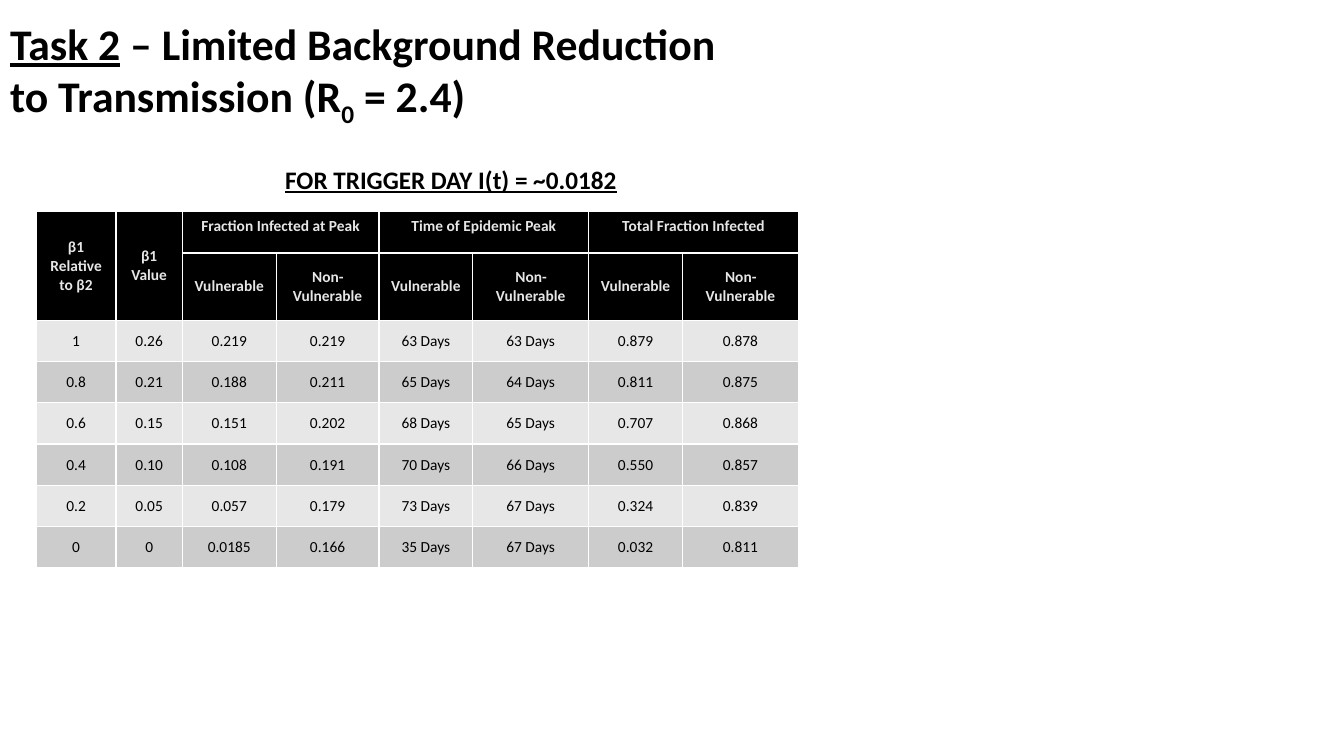
from lxml.etree import SubElement
from pptx import Presentation
from pptx.dml.color import RGBColor
from pptx.enum.text import MSO_ANCHOR, MSO_AUTO_SIZE, PP_ALIGN
from pptx.oxml.ns import qn
from pptx.util import Inches, Pt

FONT = "Calibri"
COLORS = {
    "ink": "000000",
    "header": "000000",
    "header_text": "E7E6E6",
    "light_band": "E7E7E7",
    "dark_band": "CCCCCC",
    "border": "FFFFFF",
}
COLUMN_WIDTHS = [0.79, 0.66, 0.93, 1.02, 0.93, 1.15, 0.93, 1.15]
ROW_HEIGHT = 0.41
HEADER_ROWS = 2
ROW_LABELS = ["β1 Relative to β2", "β1 Value"]
MEASURES = ["Fraction Infected at Peak", "Time of Epidemic Peak", "Total Fraction Infected"]
GROUPS = ["Vulnerable", "Non-Vulnerable"]
RESULTS = [
    ["1", "0.26", "0.219", "0.219", "63 Days", "63 Days", "0.879", "0.878"],
    ["0.8", "0.21", "0.188", "0.211", "65 Days", "64 Days", "0.811", "0.875"],
    ["0.6", "0.15", "0.151", "0.202", "68 Days", "65 Days", "0.707", "0.868"],
    ["0.4", "0.10", "0.108", "0.191", "70 Days", "66 Days", "0.550", "0.857"],
    ["0.2", "0.05", "0.057", "0.179", "73 Days", "67 Days", "0.324", "0.839"],
    ["0", "0", "0.0185", "0.166", "35 Days", "67 Days", "0.032", "0.811"],
]


def color(name):
    return RGBColor.from_string(COLORS[name])


def style_font(font, size, color_name, bold):
    font.name = FONT
    font.size = Pt(size)
    font.bold = bold
    font.color.rgb = color(color_name)


def place(shape, left, top, width, height):
    shape.left, shape.top = Inches(left), Inches(top)
    shape.width, shape.height = Inches(width), Inches(height)


def add_title(slide):
    title = slide.shapes.title
    place(title, 0, 0, 7.56, 1.45)
    frame = title.text_frame
    frame.word_wrap = True
    frame.auto_size = MSO_AUTO_SIZE.NONE
    frame.vertical_anchor = MSO_ANCHOR.MIDDLE
    paragraph = frame.paragraphs[0]
    paragraph.alignment = PP_ALIGN.LEFT
    paragraph.line_spacing = 0.9
    style_font(paragraph.font, 31.2, "ink", True)
    parts = ["Task 2", " – Limited Background Reduction to Transmission (R", "0", " = 2.4)"]
    task, _, subscript, _ = [add_run(paragraph, text) for text in parts]
    task.font.underline = True
    subscript.font._element.set("baseline", "-25000")


def add_run(paragraph, text):
    run = paragraph.add_run()
    run.text = text
    return run


def add_caption(slide):
    caption = slide.shapes.add_textbox(Inches(2.73), Inches(1.58), Inches(3.53), Inches(0.4))
    frame = caption.text_frame
    frame.word_wrap = False
    frame.auto_size = MSO_AUTO_SIZE.SHAPE_TO_FIT_TEXT
    paragraph = frame.paragraphs[0]
    paragraph.text = "FOR TRIGGER DAY I(t) = ~0.0182"
    style_font(paragraph.font, 18, "ink", True)
    paragraph.font.underline = True


def add_borders(cell):
    properties = cell._tc.get_or_add_tcPr()
    for index, side in enumerate(["lnL", "lnR", "lnT", "lnB"]):
        line = properties.makeelement(qn(f"a:{side}"), {"w": str(Pt(1))})
        fill = SubElement(line, qn("a:solidFill"))
        SubElement(fill, qn("a:srgbClr"), val=COLORS["border"])
        properties.insert(index, line)


def style_cell(cell, fill, text_color, bold, anchor):
    cell.fill.solid()
    cell.fill.fore_color.rgb = color(fill)
    cell.vertical_anchor = anchor
    paragraph = cell.text_frame.paragraphs[0]
    paragraph.alignment = PP_ALIGN.CENTER
    style_font(paragraph.font, 11, text_color, bold)
    add_borders(cell)


def fill_header(table):
    for column, label in enumerate(ROW_LABELS):
        table.cell(0, column).text = label
        table.cell(0, column).merge(table.cell(1, column))
    for index, measure in enumerate(MEASURES):
        first = len(ROW_LABELS) + index * len(GROUPS)
        table.cell(0, first).text = measure
        table.cell(0, first).merge(table.cell(0, first + len(GROUPS) - 1))
        for offset, group in enumerate(GROUPS):
            table.cell(1, first + offset).text = group


def add_results_table(slide):
    row_count = HEADER_ROWS + len(RESULTS)
    table = slide.shapes.add_table(
        row_count, len(COLUMN_WIDTHS), Inches(0.36), Inches(2.1),
        Inches(sum(COLUMN_WIDTHS)), Inches(ROW_HEIGHT * row_count),
    ).table
    for column, width in zip(table.columns, COLUMN_WIDTHS):
        column.width = Inches(width)
    fill_header(table)
    for row_index, row in enumerate(table.rows):
        row.height = Inches(ROW_HEIGHT)
        for column_index, cell in enumerate(row.cells):
            if row_index < HEADER_ROWS:
                is_measure = row_index == 0 and column_index >= len(ROW_LABELS)
                anchor = MSO_ANCHOR.TOP if is_measure else MSO_ANCHOR.MIDDLE
                style_cell(cell, "header", "header_text", True, anchor)
            else:
                cell.text = RESULTS[row_index - HEADER_ROWS][column_index]
                band = "dark_band" if row_index % 2 else "light_band"
                style_cell(cell, band, "ink", False, MSO_ANCHOR.MIDDLE)


def main():
    presentation = Presentation()
    presentation.slide_width = Inches(13.33)
    presentation.slide_height = Inches(7.5)
    slide = presentation.slides.add_slide(presentation.slide_layouts[5])
    add_title(slide)
    add_results_table(slide)
    add_caption(slide)
    presentation.save("out.pptx")


if __name__ == "__main__":
    main()
